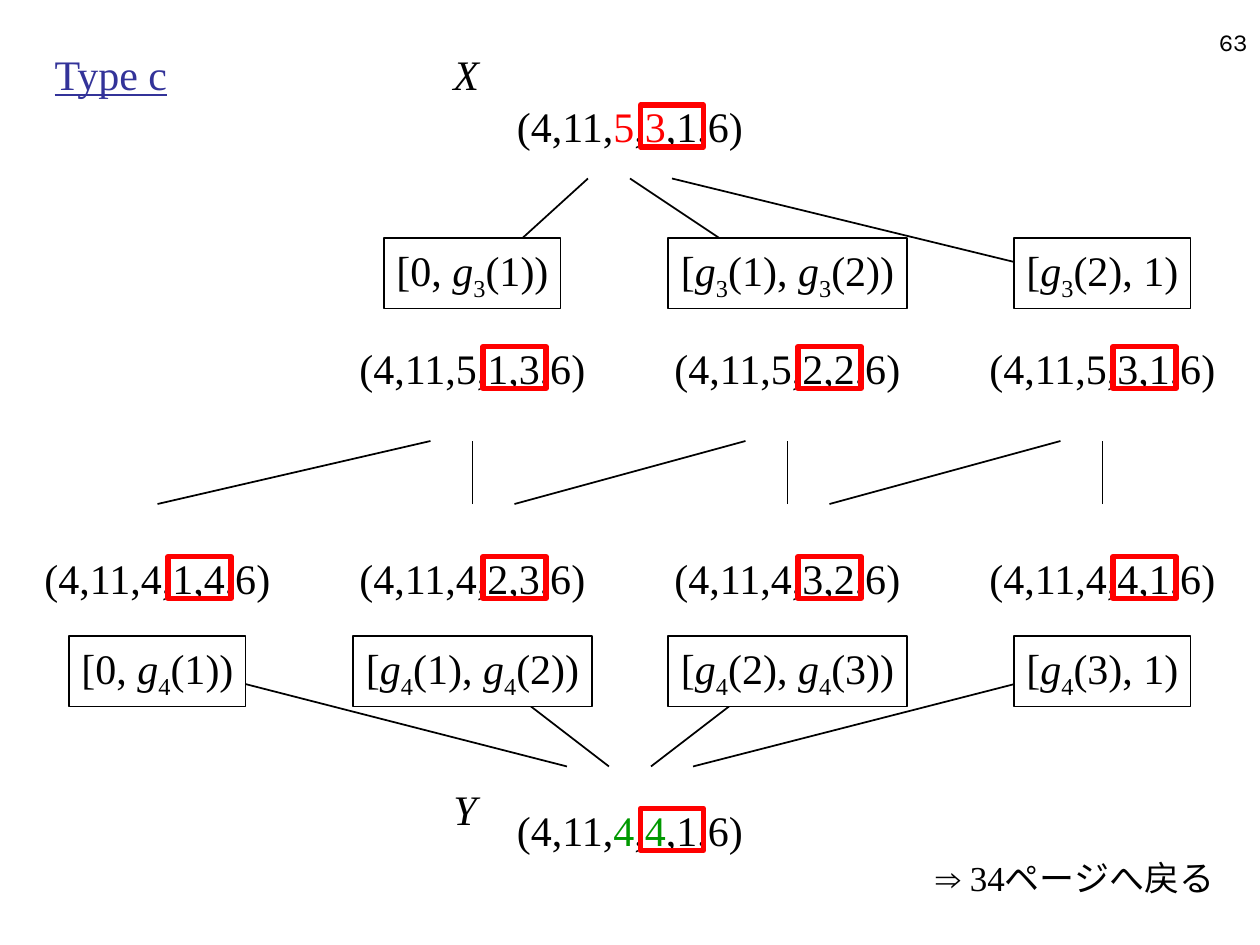
from dataclasses import dataclass

from lxml.etree import SubElement
from pptx import Presentation
from pptx.dml.color import RGBColor
from pptx.enum.shapes import MSO_CONNECTOR, MSO_SHAPE
from pptx.enum.text import MSO_ANCHOR, PP_ALIGN
from pptx.oxml.ns import qn
from pptx.util import Pt

PX = 7620


@dataclass(frozen=True)
class Theme:
    ink: str = "000000"
    paper: str = "FFFFFF"
    heading: str = "333399"
    red: str = "FF0000"
    green: str = "009900"
    serif: str = "Times New Roman"
    sans: str = "Arial"
    number_font: str = "Karla"
    body: int = 24
    note: int = 20
    number: int = 14
    thin: int = 1
    thick: int = 3


THEME = Theme()
COLUMNS = (150, 450, 750, 1050)
CENTER = 600
NARROW, WIDE = 168, 227

HEADING = "Type c"
PAGE_NUMBER = "63"
LABELS = [("Y", 420, 740, 46), ("X", 420, 40, 48)]
ENDPOINTS = [(90, "5", "3", THEME.red), (760, "4", "4", THEME.green)]
VECTOR_ROWS = [
    (320, COLUMNS[1:], ["(4,11,5,1,3,6)", "(4,11,5,2,2,6)", "(4,11,5,3,1,6)"]),
    (520, COLUMNS, ["(4,11,4,1,4,6)", "(4,11,4,2,3,6)", "(4,11,4,3,2,6)", "(4,11,4,4,1,6)"]),
]
INTERVAL_ROWS = [
    (227, COLUMNS[1:], [("[0, g3(1))", NARROW), ("[g3(1), g3(2))", WIDE), ("[g3(2), 1)", NARROW)]),
    (606, COLUMNS, [("[0, g4(1))", NARROW), ("[g4(1), g4(2))", WIDE),
                    ("[g4(2), g4(3))", WIDE), ("[g4(3), 1)", NARROW)]),
]
FANS = [(730, 630, COLUMNS), (170, 270, COLUMNS[1:])]
FAN_STEP = 40
DIAGONAL_ENDS = (150, 490, 790)
LINK_TOP, LINK_BOTTOM = 420, 480


def rgb(code):
    return RGBColor.from_string(code)


def px(*lengths):
    return [length * PX for length in lengths]


def add_run(paragraph, text, color=THEME.ink, size=THEME.body, font=THEME.serif,
            italic=False, subscript=False):
    run = paragraph.add_run()
    run.text = text
    run.font.name = font
    run.font.size = Pt(size)
    run.font.color.rgb = rgb(color)
    if italic:
        run.font.italic = True
    if subscript:
        run.font._element.set("baseline", "-25000")
    return run


def text_area(slide, left, top, width, height, align=PP_ALIGN.LEFT, anchor=MSO_ANCHOR.TOP, wrap=False):
    frame = slide.shapes.add_textbox(*px(left, top, width, height)).text_frame
    frame.word_wrap = wrap
    frame.vertical_anchor = anchor
    frame.paragraphs[0].alignment = align
    return frame.paragraphs[0]


def add_box(slide, left, top, width, height, fill=None, line=None, weight=THEME.thin):
    box = slide.shapes.add_shape(MSO_SHAPE.RECTANGLE, *px(left, top, width, height))
    box.shadow.inherit = False
    if fill:
        box.fill.solid()
        box.fill.fore_color.rgb = rgb(fill)
    else:
        box.fill.background()
    if line:
        box.line.color.rgb = rgb(line)
        box.line.width = Pt(weight)
    else:
        box.line.fill.background()
    frame = box.text_frame
    frame.word_wrap = False
    frame.vertical_anchor = MSO_ANCHOR.MIDDLE
    frame.paragraphs[0].alignment = PP_ALIGN.CENTER
    return frame.paragraphs[0]


def add_vector(slide, center, top, pieces):
    paragraph = add_box(slide, center - 120, top, 240, 60, fill=THEME.paper)
    for text, color in pieces:
        add_run(paragraph, text, color)
    add_box(slide, center + 10, top + 10, 60, 40, line=THEME.red, weight=THEME.thick)


def add_interval(slide, center, top, width, text):
    paragraph = add_box(slide, center - width / 2, top, width, 67, THEME.paper, THEME.ink)
    opening, *terms = text.split("g")
    add_run(paragraph, opening)
    for term in terms:
        add_run(paragraph, "g", italic=True)
        add_run(paragraph, term[0], subscript=True)
        add_run(paragraph, term[1:])


def add_line(slide, start, end, arrow=False):
    line = slide.shapes.add_connector(MSO_CONNECTOR.STRAIGHT, *px(*start, *end))
    line.line.color.rgb = rgb(THEME.ink)
    line.line.width = Pt(THEME.thin)
    if arrow:
        SubElement(line.line._get_or_add_ln(), qn("a:tailEnd"), type="triangle")
    SubElement(line._element.spPr, qn("a:effectLst"))


def add_heading(slide):
    title = slide.shapes.title
    title.left, title.top, title.width, title.height = px(40, 40, 1022, 60)
    title.text_frame.vertical_anchor = MSO_ANCHOR.BOTTOM
    paragraph = title.text_frame.paragraphs[0]
    paragraph.alignment = PP_ALIGN.LEFT
    add_run(paragraph, HEADING, THEME.heading).font.underline = True


def main():
    deck = Presentation()
    deck.slide_width, deck.slide_height = px(1200, 900)
    slide = deck.slides.add_slide(deck.slide_layouts[5])
    add_heading(slide)

    for letter, left, top, width in LABELS:
        add_run(text_area(slide, left, top, width, 60), letter, italic=True)

    for start_y, end_y, targets in FANS:
        first = CENTER - FAN_STEP * (len(targets) - 1) / 2
        for index, target in enumerate(targets):
            add_line(slide, (int(first + index * FAN_STEP), start_y), (target, end_y), arrow=True)

    for top, third, fourth, color in ENDPOINTS:
        add_vector(slide, CENTER, top, [("(4,11,", THEME.ink), (third, color), (",", THEME.ink),
                                        (fourth, color), (",1,6)", THEME.ink)])
    for top, centers, vectors in VECTOR_ROWS:
        for center, vector in zip(centers, vectors):
            add_vector(slide, center, top, [(vector, THEME.ink)])

    for top, centers, intervals in INTERVAL_ROWS:
        for center, (interval, width) in zip(centers, intervals):
            add_interval(slide, center, top, width, interval)

    for center, diagonal_end in zip(COLUMNS[1:], DIAGONAL_ENDS):
        add_line(slide, (center - 40, LINK_TOP), (diagonal_end, LINK_BOTTOM))
        add_line(slide, (center, LINK_BOTTOM), (center, LINK_TOP))

    return_note = text_area(slide, 874, 810, 300, 53, PP_ALIGN.CENTER)
    add_run(return_note, "⇒", size=THEME.note, font=THEME.sans)
    add_run(return_note, " 34ページへ戻る", size=THEME.note)

    page = text_area(slide, 950, 0, 250, 60, PP_ALIGN.RIGHT, MSO_ANCHOR.BOTTOM, wrap=True)
    add_run(page, PAGE_NUMBER, size=THEME.number, font=THEME.number_font)

    deck.save("out.pptx")


if __name__ == "__main__":
    main()
